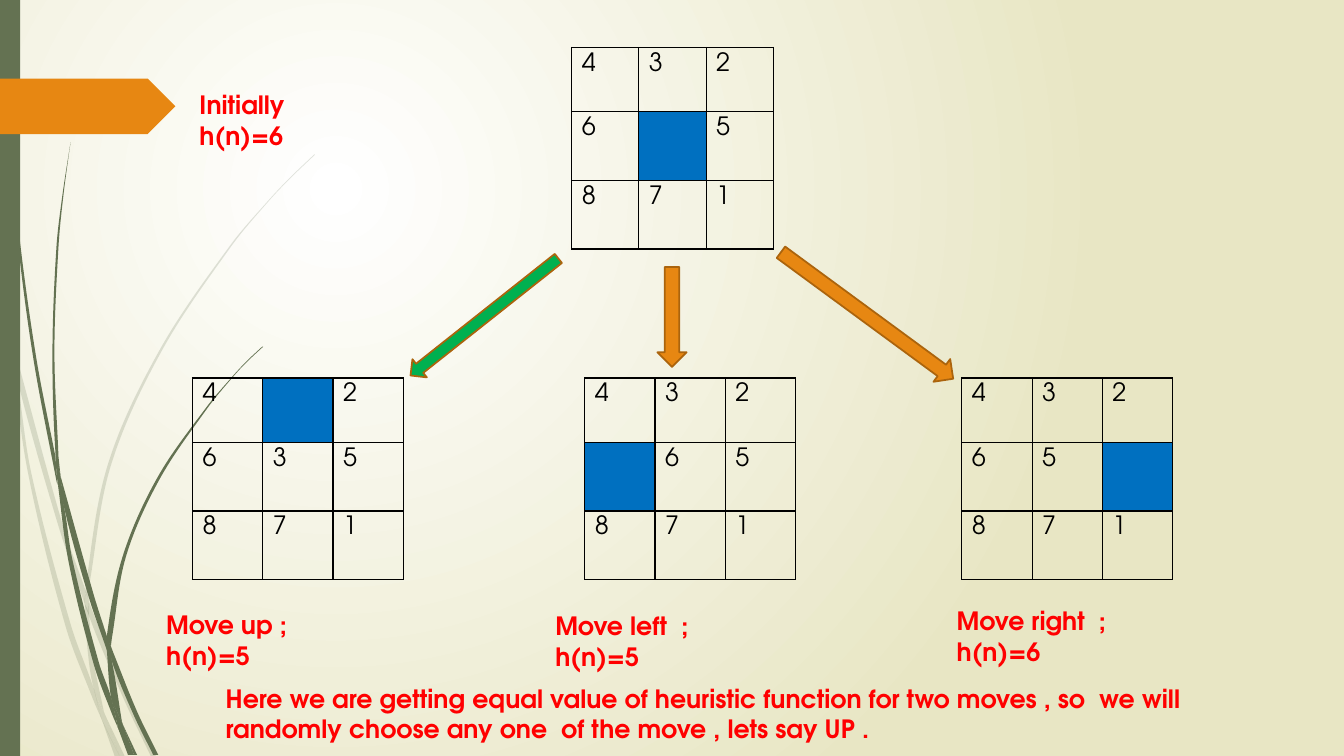
from math import dist

from lxml.etree import SubElement
from pptx import Presentation
from pptx.dml.color import RGBColor
from pptx.enum.shapes import MSO_SHAPE as Preset
from pptx.enum.text import MSO_AUTO_SIZE as AutoSize
from pptx.oxml.ns import qn
from pptx.util import Inches, Pt

FONT = "TeX Gyre Adventor"
COLORS = {"white": "FFFFFF", "cream": "E8E6C4", "olive": "647252", "orange": "E78712",
          "rust": "AB640D", "green": "00B050", "blue": "0070C0", "red": "FF0000",
          "black": "000000"}

# Boards: left, top, width, rows of tiles (blank = empty square)
BOARDS = [
    (1.91, 3.75, 2.09, ["4 2", "635", "871"]),
    (9.54, 3.75, 2.09, ["432", "65 ", "871"]),
    (5.80, 3.75, 2.09, ["432", " 65", "871"]),
    (5.67, 0.47, 2.00, ["432", "6 5", "871"]),
]
ROW_HEIGHTS = [0.64, 0.68, 0.68]

# Captions: left, top, width, height, text
CAPTIONS = [
    (1.88, 0.84, 1.91, 0.4, "Initially h(n)=6"),
    (5.41, 6.01, 2.40, 0.4, "Move left  ; h(n)=5"),
    (1.55, 6.00, 2.28, 0.4, "Move up ; h(n)=5"),
    (9.39, 5.96, 2.57, 0.4, "Move right  ; h(n)=6"),
    (2.14, 6.73, 10.14, 0.71, "Here we are getting equal value of heuristic function for two "
     "moves , so  we will randomly choose any one  of the move , lets say UP ."),
]

# Arrows: left, top, width, height, rotation, colour
ARROWS = [
    (6.52, 2.65, 0.29, 0.99, 0, "orange"),
    (4.69, 2.21, 0.23, 1.87, 51.6, "green"),
    (8.46, 2.07, 0.28, 2.12, 306.3, "orange"),
]

# Grass blades: downward edge and upward edge, as knots (x, y)
FAINT_BLADES = [
    ([(0, 2.99), (0.1, 3.44), (0.11, 3.5)], [(0.09, 3.22), (0, 2.82)]),
    ([(0.14, 3.45), (0.17, 3.76), (0.58, 5.22), (0.84, 5.99)],
     [(0.85, 5.86), (0.62, 5.2), (0.14, 3.45)]),
    ([(0.88, 5.96), (0.88, 6.1), (1.23, 6.94), (1.5, 7.51)],
     [(1.55, 7.51), (1.27, 6.92), (0.92, 6.07), (0.88, 5.96)]),
    ([(1.05, 7.11), (1.19, 7.51)], [(1.24, 7.51), (1.05, 7.11)]),
    ([(0.11, 3.5), (0.28, 4.7), (0.65, 6.21), (0.92, 6.93), (1.01, 7.14)],
     [(0.99, 7.07), (0.93, 6.83), (0.7, 6.19), (0.31, 4.69), (0.17, 3.76), (0.11, 3.5)]),
    ([(0.84, 5.99), (0.87, 6.46), (0.93, 6.83), (1.05, 7.11)],
     [(1.03, 7.06), (0.91, 6.46), (0.88, 6.08), (0.84, 5.99)]),
    ([(3.12, 1.53), (2.89, 1.75), (2.68, 1.97), (2.28, 2.44), (1.58, 3.48), (1.07, 4.61),
      (0.85, 5.84), (0.88, 5.96)],
     [(0.88, 5.84), (1.1, 4.62), (1.6, 3.49), (2.29, 2.45), (2.68, 1.98), (2.9, 1.75),
      (3.12, 1.54)]),
    ([(1.01, 7.14), (1.14, 7.51)], [(1.19, 7.51), (1.01, 7.14)]),
    ([(0.85, 5.86), (0.84, 5.99), (0.88, 6.1)], [(0.88, 5.96), (0.85, 5.86)]),
    ([(0.93, 6.83), (0.99, 7.07), (1.01, 7.14), (1.19, 7.51)],
     [(1.05, 7.11), (0.96, 6.92), (0.93, 6.83)]),
]
SOLID_BLADES = [
    ([(0.03, 0), (0.04, 0.48), (0.07, 1.1), (0.17, 2.33), (0.33, 3.55), (0.56, 4.77),
      (0.57, 4.81)],
     [(0.55, 4.53), (0.36, 3.55), (0.19, 2.32), (0.08, 1.09), (0.05, 0.48), (0.04, 0)]),
    ([(0.6, 4.72), (0.64, 5.05), (0.88, 5.92), (1.06, 6.45)],
     [(1.06, 6.31), (0.93, 5.9), (0.6, 4.72)]),
    ([(1.1, 6.41), (1.11, 6.56), (1.32, 7.08), (1.52, 7.49)],
     [(1.57, 7.49), (1.36, 7.06), (1.13, 6.49), (1.1, 6.41)]),
    ([(0.57, 4.77), (0.68, 5.57), (0.93, 6.59), (1.11, 7.08), (1.17, 7.22)],
     [(1.16, 7.17), (1.1, 6.91), (0.98, 6.57), (0.72, 5.56), (0.64, 5.05), (0.57, 4.77)]),
    ([(0.7, 1.41), (0.62, 1.93), (0.56, 2.45), (0.52, 3.49), (0.55, 4.49), (0.6, 4.72)],
     [(0.58, 4.53), (0.54, 3.49), (0.58, 2.45), (0.63, 1.93), (0.7, 1.41)]),
    ([(1.22, 7.19), (1.33, 7.49)], [(1.36, 7.49), (1.22, 7.19)]),
    ([(0.55, 4.49), (0.57, 4.77), (0.64, 5.05)], [(0.6, 4.72), (0.55, 4.49)]),
    ([(2.6, 3.44), (2.45, 3.58), (2.31, 3.73), (2.04, 4.05), (1.56, 4.74), (1.22, 5.51),
      (1.06, 6.31), (1.1, 6.41)],
     [(1.11, 6.33), (1.25, 5.52), (1.58, 4.76), (2.05, 4.06), (2.31, 3.74), (2.45, 3.59),
      (2.61, 3.44)]),
    ([(1.17, 7.22), (1.27, 7.49)], [(1.31, 7.49), (1.17, 7.22)]),
    ([(1.06, 6.45), (1.1, 6.91), (1.16, 7.06), (1.22, 7.19)],
     [(1.21, 7.16), (1.11, 6.56), (1.06, 6.45)]),
    ([(1.06, 6.31), (1.06, 6.45), (1.11, 6.56)], [(1.1, 6.41), (1.06, 6.31)]),
    ([(1.1, 6.91), (1.16, 7.17), (1.17, 7.22), (1.3, 7.49)],
     [(1.33, 7.49), (1.22, 7.19), (1.16, 7.06), (1.1, 6.91)]),
]


def rgb(name):
    return RGBColor.from_string(COLORS[name])


def style(shape, fill, line=None):
    shape.shadow.inherit = False
    shape.fill.solid()
    shape.fill.fore_color.rgb = rgb(fill)
    if line:
        shape.line.color.rgb = rgb(line)
        shape.line.width = Pt(1.25)
    else:
        shape.line.fill.background()


def add_preset(preset, left, top, width, height, fill, line=None):
    shape = page.shapes.add_shape(preset, *map(Inches, (left, top, width, height)))
    style(shape, fill, line)
    return shape


def format_text(frame, color, bold):
    for span in frame.paragraphs[0].runs:
        span.font.name, span.font.size, span.font.bold = FONT, Pt(18), bold
        span.font.color.rgb = rgb(color)


def handle(knot, ahead, behind, length):
    """Control point along the tangent, a third of the segment away."""
    scale = length / 3 / dist(ahead, behind)
    return tuple(k + (a - b) * scale for k, a, b in zip(knot, ahead, behind))


def bezier(edge):
    """Control, control, end for each segment of a smooth edge."""
    padded = [edge[0], *edge, edge[-1]]
    for before, start, end, after in zip(padded, padded[1:], padded[2:], padded[3:]):
        length = dist(start, end)
        yield from (handle(start, end, before, length), handle(end, start, after, length), end)


def add_blade(down, up, opacity):
    points = [down[0], *bezier(down)]
    if down[-1] != up[0]:
        points += [down[-1], up[0], up[0]]
    points = [(Inches(x), Inches(y)) for x, y in points + list(bezier(up))]
    builder = page.shapes.build_freeform(*points[0])
    builder.add_line_segments(points[1:], close=True)
    blade = builder.convert_to_shape()
    style(blade, "olive")
    # Every three straight steps become one curve
    steps = list(blade._element.iter(qn("a:lnTo")))
    for index in range(0, len(steps) // 3 * 3, 3):
        curve = steps[index].makeelement(qn("a:cubicBezTo"))
        steps[index].addprevious(curve)
        for step in steps[index:index + 3]:
            curve.append(step[0])
            step.getparent().remove(step)
    if opacity < 100:
        color = blade.fill._xPr.find(qn("a:solidFill"))[0]
        SubElement(color, qn("a:alpha"), val=str(opacity * 1000))


def add_borders(cell):
    props = cell._tc.get_or_add_tcPr()
    for index, side in enumerate(("lnL", "lnR", "lnT", "lnB")):
        line = SubElement(props, qn("a:" + side), w=str(Pt(1)))
        SubElement(SubElement(line, qn("a:solidFill")), qn("a:srgbClr"), val=COLORS["black"])
        props.insert(index, line)


def add_board(left, top, width, tiles):
    size = len(tiles)
    table = page.shapes.add_table(size, size, *map(Inches, (left, top, width, 2))).table
    table.first_row = table.horz_banding = False
    for row, height, values in zip(table.rows, ROW_HEIGHTS, tiles):
        row.height = Inches(height)
        for cell, value in zip(row.cells, values):
            if value == " ":
                cell.fill.solid()
                cell.fill.fore_color.rgb = rgb("blue")
            else:
                cell.fill.background()
                cell.text_frame.text = value
                format_text(cell.text_frame, "black", False)
            add_borders(cell)


deck = Presentation()
deck.slide_width, deck.slide_height = Inches(13.33), Inches(7.5)
page = deck.slides.add_slide(deck.slide_layouts[6])

# Background: radial glow centred in the upper left quarter
backdrop = page.background.fill
backdrop.gradient()
for stop, name in zip(backdrop.gradient_stops, ("white", "cream")):
    stop.color.rgb = rgb(name)
gradient = page.background._cSld.find(".//" + qn("a:gradFill"))
gradient.remove(gradient.find(qn("a:lin")))
glow = SubElement(gradient, qn("a:path"), {"path": "circle"})
SubElement(glow, qn("a:fillToRect"), l="50000", t="50000", r="100000", b="100000")

# Grass, side bar and tag
for blades, opacity in ((FAINT_BLADES, 20), (SOLID_BLADES, 100)):
    for down, up in blades:
        add_blade(down, up, opacity)
add_preset(Preset.RECTANGLE, 0, 0, 0.2, 7.5, "olive")
add_preset(Preset.PENTAGON, 0, 0.78, 1.74, 0.55, "orange")

# Boards, captions and arrows
for board in BOARDS:
    add_board(*board)
for *frame, text in CAPTIONS:
    box = page.shapes.add_textbox(*map(Inches, frame))
    box.text_frame.word_wrap = True
    box.text_frame.auto_size = AutoSize.SHAPE_TO_FIT_TEXT
    box.text_frame.text = text
    format_text(box.text_frame, "red", True)
for *frame, rotation, fill in ARROWS:
    add_preset(Preset.DOWN_ARROW, *frame, fill, "rust").rotation = rotation

deck.save("out.pptx")
